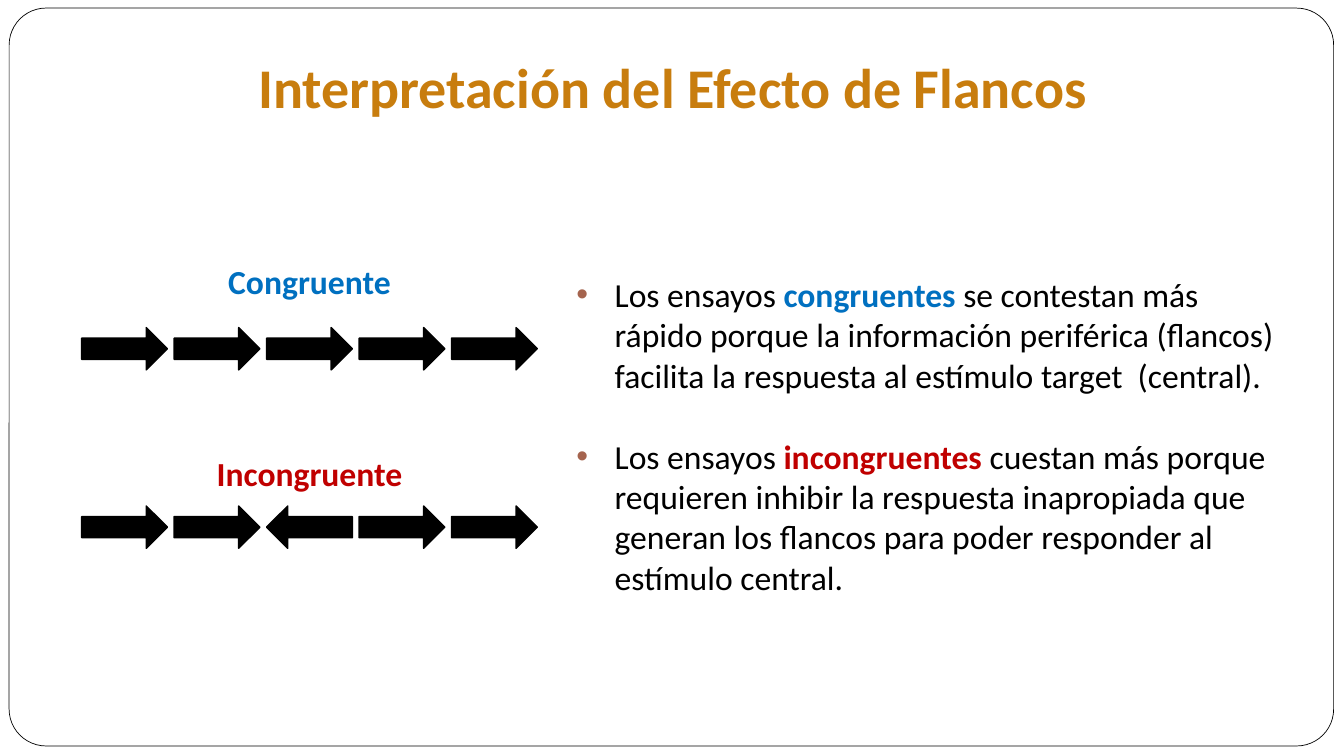
"""Builds a slide that explains the flanker effect with two rows of arrows."""
import pptx
import pptx.dml.color
import pptx.enum.shapes
import pptx.enum.text
import pptx.oxml
import pptx.oxml.ns
import pptx.util

BLACK = pptx.dml.color.RGBColor(0x00, 0x00, 0x00)
WHITE = pptx.dml.color.RGBColor(0xFF, 0xFF, 0xFF)
BLUE = pptx.dml.color.RGBColor(0x00, 0x70, 0xC0)
RED = pptx.dml.color.RGBColor(0xC0, 0x00, 0x00)
GOLD = pptx.dml.color.RGBColor(0xC8, 0x7D, 0x0E)
BROWN = pptx.dml.color.RGBColor(0xA5, 0x64, 0x4E)

SHAPES = pptx.enum.shapes.MSO_SHAPE
ARROWS = {">": SHAPES.RIGHT_ARROW, "<": SHAPES.LEFT_ARROW}


class FlankerSlide:
    """Holds the style and the slide; lengths are percentages of its size."""

    font_name = "Calibri"
    body_size = 24
    title_size = 40
    trial_left = 6.08
    arrow_width, arrow_height, arrow_pitch = 6.38, 5.6, 6.88

    def __init__(self, deck):
        self.deck = deck
        self.slide = deck.slides.add_slide(deck.slide_layouts[6])

    def box(self, left, top, width, height):
        across, down = self.deck.slide_width / 100, self.deck.slide_height / 100
        return [round(share * unit) for share, unit in
                zip((left, top, width, height), (across, down) * 2)]

    def style(self, run, color, size, bold=False):
        run.font.name = self.font_name
        run.font.size = pptx.util.Pt(size)
        run.font.bold = bold
        run.font.color.rgb = color

    def shape(self, parent, kind, place, fill, line_width):
        drawn = parent.shapes.add_shape(kind, *self.box(*place))
        drawn.shadow.inherit = False
        drawn.fill.solid()
        drawn.fill.fore_color.rgb = fill
        drawn.line.color.rgb = BLACK
        drawn.line.width = pptx.util.Pt(line_width)
        return drawn

    def frame(self, *place):
        border = self.shape(self.slide, SHAPES.ROUNDED_RECTANGLE, place, WHITE, 0.5)
        border.adjustments[0] = 0.05

    def heading(self, parent, wording, place, color, size):
        text_frame = parent.shapes.add_textbox(*self.box(*place)).text_frame
        text_frame.word_wrap = True
        text_frame.text = wording
        paragraph = text_frame.paragraphs[0]
        paragraph.alignment = pptx.enum.text.PP_ALIGN.CENTER
        self.style(paragraph.runs[0], color, size, bold=True)
        return text_frame

    def title(self, wording, *place):
        text_frame = self.heading(self.slide, wording, place, GOLD, self.title_size)
        text_frame.vertical_anchor = pptx.enum.text.MSO_ANCHOR.BOTTOM
        text_frame.margin_bottom = pptx.util.Inches(0.1)

    def trial(self, name, color, label_top, arrows_top, directions):
        group = self.slide.shapes.add_group_shape()
        for position, direction in enumerate(directions):
            left = self.trial_left + position * self.arrow_pitch
            place = left, arrows_top, self.arrow_width, self.arrow_height
            self.shape(group, ARROWS[direction], place, BLACK, 1)
        row_width = (len(directions) - 1) * self.arrow_pitch + self.arrow_width
        label_place = self.trial_left, label_top, row_width, 6.67
        self.heading(group, name, label_place, color, self.body_size)

    def bullet(self, paragraph):
        properties = paragraph._p.get_or_add_pPr()
        indent = pptx.util.Inches(0.38)
        properties.set("marL", str(indent))
        properties.set("indent", str(-indent))
        namespace = pptx.oxml.ns.nsdecls("a")
        for element in (
            f'<a:buClr {namespace}><a:srgbClr val="{BROWN}"/></a:buClr>',
            f'<a:buFont {namespace} typeface="Arial"/>',
            f'<a:buChar {namespace} char="•"/>',
        ):
            properties.append(pptx.oxml.parse_xml(element))

    def explanations(self, points, *place):
        text_frame = self.slide.shapes.add_textbox(*self.box(*place)).text_frame
        text_frame.word_wrap = True
        for number, (opening, keyword, color, reason) in enumerate(points):
            paragraph = text_frame.add_paragraph() if number else text_frame.paragraphs[0]
            self.bullet(paragraph)
            if number:
                paragraph.space_before = pptx.util.Pt(29)
            for wording, tint in ((opening, BLACK), (keyword, color), (reason, BLACK)):
                run = paragraph.add_run()
                run.text = wording
                self.style(run, tint, self.body_size, bold=tint != BLACK)


def main():
    deck = pptx.Presentation()
    deck.slide_width = pptx.util.Inches(13.33)
    deck.slide_height = pptx.util.Inches(7.5)

    flankers = FlankerSlide(deck)
    flankers.frame(0.68, 1.07, 98.55, 97.6)
    flankers.explanations(
        [
            ("Los ensayos ", "congruentes", BLUE,
             " se contestan más rápido porque la información periférica (flancos) "
             "facilita la respuesta al estímulo target  (central)."),
            ("Los ensayos ", "incongruentes", RED,
             " cuestan más porque requieren inhibir la respuesta inapropiada que "
             "generan los flancos para poder responder al estímulo central."),
        ],
        42.15, 35.6, 54.15, 44.4,
    )
    flankers.trial("Incongruente", RED, 59.2, 66.93, ">><>>")
    flankers.trial("Congruente", BLUE, 33.87, 43.33, ">>>>>")
    flankers.title("Interpretación del Efecto de Flancos", 1.13, 6.93, 97.8, 10.27)
    deck.save("out.pptx")


if __name__ == "__main__":
    main()
